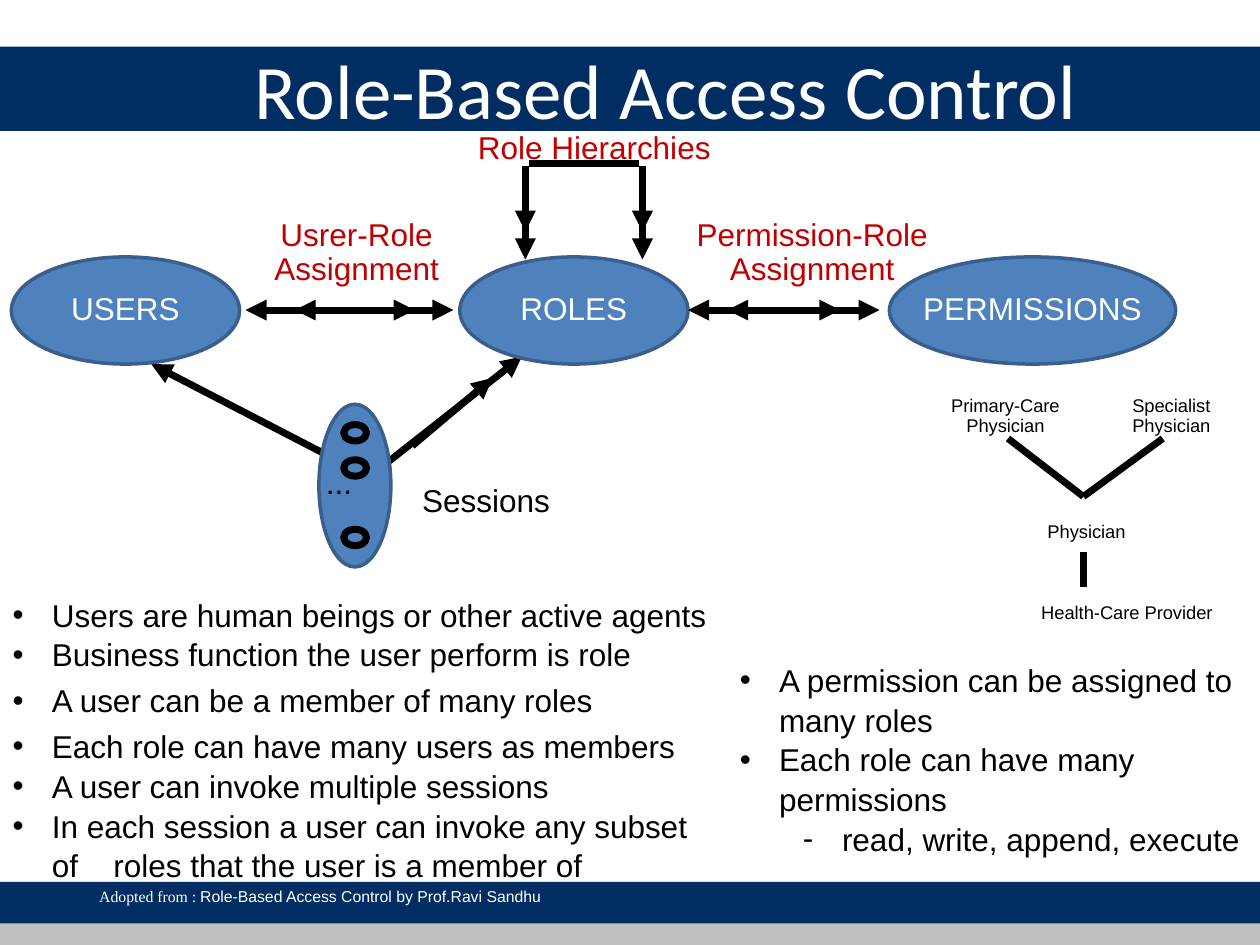
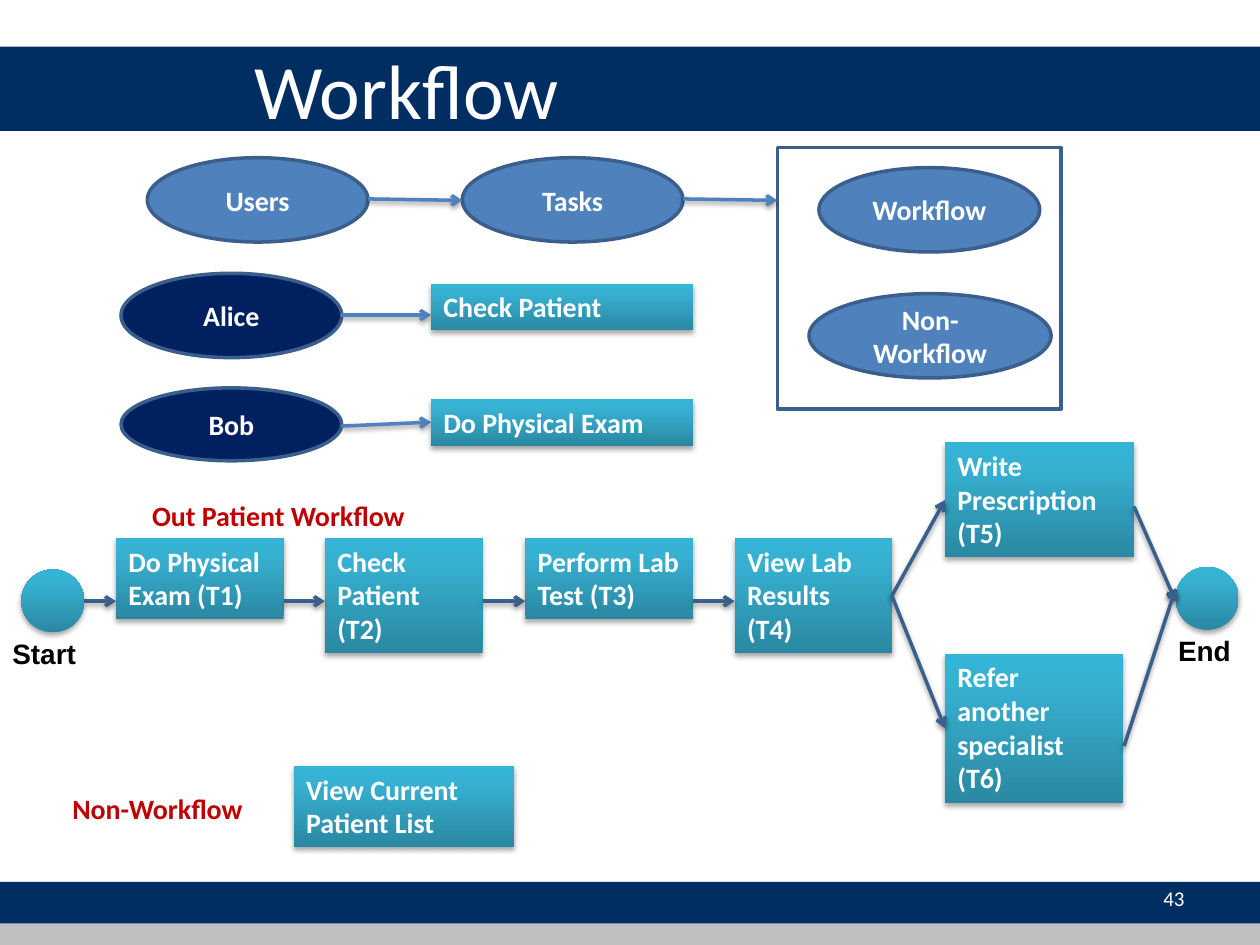
from lxml import etree
from pptx import Presentation
from pptx.dml.color import RGBColor
from pptx.enum import shapes, text
from pptx.oxml import ns
from pptx.util import Cm, Pt

HUE = {
    "navy": "002E62", "grey": "C0C0C0", "white": "FFFFFF", "black": "000000",
    "red": "C00000", "blue": "4F81BD", "edge": "3A5F8C", "dark": "002060",
    "deep": "2A88A2", "teal": "37B1D2", "light": "34B4D6",
}
OVAL = shapes.MSO_SHAPE.OVAL
RECT = shapes.MSO_SHAPE.RECTANGLE
DISC = shapes.MSO_SHAPE.FLOWCHART_CONNECTOR
MID = text.MSO_ANCHOR.MIDDLE
TOP = text.MSO_ANCHOR.TOP
LEFT = text.PP_ALIGN.LEFT
MIDST = text.PP_ALIGN.CENTER
RIGHT = text.PP_ALIGN.RIGHT


def rgb(name):
    return RGBColor.from_string(HUE[name])


def sub(node, tag, **attrs):
    child = etree.SubElement(node, ns.qn(tag))
    for key, val in attrs.items():
        child.set(key, str(val))
    return child


# Text
def style(font, size, face, hue, bold=False):
    font.size, font.name, font.bold = Pt(size), face, bold
    font.color.rgb = rgb(hue)


def write(shape, words, size, face, hue, bold=False, align=MIDST,
          anchor=MID, gap=1.0, wrap=True):
    frame = shape.text_frame
    frame.text = words
    frame.word_wrap = wrap
    frame.auto_size = text.MSO_AUTO_SIZE.NONE
    frame.vertical_anchor = anchor
    for para in frame.paragraphs:
        para.alignment, para.line_spacing = align, gap
        for run in para.runs:
            style(run.font, size, face, hue, bold)


def label(slide, words, at, size=18, face="Arial", hue="black", **opts):
    box = slide.shapes.add_textbox(*map(Cm, at))
    write(box, words, size, face, hue, **opts)


def note(slide, words, at, hue="black", size=18, align=MIDST):
    label(slide, words, at, size, hue=hue, align=align, anchor=TOP,
          gap=0.9, wrap=False)


def title(slide, words):
    head = slide.shapes.title
    head.left, head.top, head.width, head.height = map(
        Cm, (4.88, 0.2, 20.12, 3.18))
    write(head, words, 44, "Calibri", "white", align=LEFT)


def bullets(body, at, items):
    """Fill a list; each item is (words, level, space before in points)."""
    body.left, body.top, body.width, body.height = map(Cm, at)
    write(body, "\n".join(item[0] for item in items), 18, "Arial", "black",
          align=LEFT, anchor=TOP, gap=1.05)
    for para, (words, level, space) in zip(body.text_frame.paragraphs, items):
        para.level = level
        props = para._p.get_or_add_pPr()
        props.set("marL", str(Cm(0.79 + 1.27 * level)))
        props.set("indent", str(-Cm(0.79)))
        sub(props, "a:buFont", typeface="Arial")
        sub(props, "a:buChar", char="‐" if level else "•")
        if "\t" in words:
            stops = sub(props, "a:tabLst")
            sub(stops, "a:tab", pos=Cm(2.03), algn="l")
        para.space_before = Pt(space)


# Shapes and lines
def shade(effects, alpha, dist):
    cast = sub(effects, "a:outerShdw", blurRad=Pt(3.1), dist=Pt(dist),
               dir=90 * 60000, rotWithShape=0)
    tint = sub(cast, "a:srgbClr", val=HUE["black"])
    sub(tint, "a:alpha", val=alpha * 1000)


def shape(slide, kind, at, fill, edge=None, width=2):
    item = slide.shapes.add_shape(kind, *map(Cm, at))
    item.shadow.inherit = False
    item.fill.solid()
    item.fill.fore_color.rgb = rgb(fill)
    if edge:
        item.line.color.rgb = rgb(edge)
        item.line.width = Pt(width)
    else:
        item.line.fill.background()
    return item


def oval(slide, words, at, fill="blue", size=16, face="Calibri", bold=True,
         **opts):
    item = shape(slide, OVAL, at, fill, "edge")
    write(item, words, size, face, "white", bold, **opts)


def glow(slide, kind, at):
    """Add a teal shape with a gradient and a soft shadow."""
    item = shape(slide, kind, at, "teal")
    item.fill.gradient()
    item.fill.gradient_angle = 90
    stops = item.element.xpath(".//a:gsLst")[0]
    for old in list(stops):
        stops.remove(old)
    for pos, name in ((0, "deep"), (80, "teal"), (100, "light")):
        stop = sub(stops, "a:gs", pos=pos * 1000)
        sub(stop, "a:srgbClr", val=HUE[name])
    shade(item.element.xpath(".//a:effectLst")[0], 35, 1.8)
    return item


def task(slide, words, at):
    write(glow(slide, RECT, at), words, 16, "Calibri", "white", True,
          align=LEFT, anchor=TOP)


def line(slide, ends, hue="black", width=4, head=None, tail=None, soft=False):
    link = slide.shapes.add_connector(
        shapes.MSO_CONNECTOR.STRAIGHT, *map(Cm, ends))
    link.line.color.rgb = rgb(hue)
    link.line.width = Pt(width)
    stroke = link.line._get_or_add_ln()
    for tag, tip in (("a:headEnd", head), ("a:tailEnd", tail)):
        if tip:
            sub(stroke, tag, type=tip)
    effects = sub(link.element.spPr, "a:effectLst")
    if soft:
        shade(effects, 38, 1.6)


def flow(slide, hue, *paths):
    for ends in paths:
        line(slide, ends, hue, 2, tail="arrow", soft=True)


def bands(deck, slide):
    """Draw the shared bands and move them to the slide master."""
    tree = deck.slide_master.shapes.element
    rows = ((17.78, 0.84, "navy"), (0.94, 1.7, "navy"), (18.62, 0.43, "grey"))
    for num, (top, high, hue) in enumerate(rows):
        band = shape(slide, RECT, (0, top, 25.4, high), hue)
        band.element.xpath(".//p:cNvPr")[0].set("id", str(90 + num))
        tree.insert(2 + num, band.element)


# Slides
def roles(slide):
    title(slide, "Role-Based Access Control")

    # Session arrows, then the three main sets
    for ends in ((7.32, 9.55, 3.05, 7.34), (7.52, 9.55, 10.52, 7.19),
                 (8.31, 8.99, 9.93, 7.62)):
        line(slide, ends, tail="triangle")
    for words, left, wide in (("USERS", 0.23, 4.6), ("ROLES", 9.27, 4.6),
                              ("PERMISSIONS", 17.93, 5.77)):
        oval(slide, words, (left, 5.18, wide, 2.16), size=18, face="Arial",
             bold=False, gap=0.9, wrap=False)

    # Assignments
    for start, end in ((4.95, 9.14), (5.94, 8.36), (13.87, 17.73),
                       (14.66, 16.94)):
        line(slide, (start, 6.25, end, 6.25), head="triangle", tail="triangle")
    note(slide, "Usrer-Role\nAssignment", (5.26, 4.29, 3.86, 1.63), "red")
    note(slide, "Permission-Role\nAssignment", (13.77, 4.29, 5.21, 1.63),
         "red")

    # Sessions
    shape(slide, OVAL, (6.43, 8.15, 1.45, 3.28), "blue", "edge")
    for top in (8.56, 9.27, 10.67):
        shape(slide, OVAL, (6.93, top, 0.46, 0.33), "blue", "black", 4)
    note(slide, "...", (6.32, 9.3, 1.04, 0.94), align=LEFT)
    note(slide, "Sessions", (8.26, 9.65, 3.1, 0.94), align=LEFT)

    # Role hierarchy loop
    for x in (10.59, 12.95):
        for top, low in ((3.48, 5.23), (3.35, 4.67)):
            line(slide, (x, top, x, low), tail="triangle")
    line(slide, (10.67, 3.3, 12.88, 3.3))
    note(slide, "Role Hierarchies", (9.35, 2.54, 5.26, 0.94), "red")

    # Example hierarchy
    for words, at in (
            ("Health-Care Provider", (20.7, 12.04, 4.04, 0.66)),
            ("Physician", (20.85, 10.41, 2.11, 0.66)),
            ("Primary-Care\nPhysician", (18.9, 7.87, 2.74, 1.07)),
            ("Specialist\nPhysician", (22.56, 7.87, 2.11, 1.07))):
        note(slide, words, at, size=10.5)
    for ends in ((21.84, 11.13, 21.84, 11.84), (20.32, 8.84, 21.84, 10.01),
                 (23.44, 8.84, 21.84, 10.01)):
        line(slide, ends)

    # Lists
    bullets(slide.placeholders[1], (0, 11.84, 14.66, 5.97), (
        ("Users are human beings or other active agents", 0, 0),
        ("Business function the user perform is role", 0, 0),
        ("A user can be a member of many roles", 0, 3.6),
        ("Each role can have many users as members", 0, 3.6),
        ("A user can invoke multiple sessions", 0, 0),
        ("In each session a user can invoke any subset of\troles that the "
         "user is a member of", 0, 0)))
    bullets(slide.placeholders[2], (14.66, 13.16, 10.74, 4.11), (
        ("A permission can be assigned to many roles", 0, 0),
        ("Each role can have many permissions", 0, 0),
        ("read, write, append, execute", 1, 0)))

    # Source line
    foot = slide.shapes.add_textbox(*map(Cm, (1.75, 17.75, 17.58, 0.64)))
    foot.text_frame.word_wrap = True
    para = foot.text_frame.paragraphs[0]
    for words, face in (
            ("Adopted from : ", "Times New Roman"),
            ("Role-Based Access Control by Prof.Ravi Sandhu", "Arial")):
        run = para.add_run()
        run.text = words
        style(run.font, 9, face, "white")


def work(slide):
    title(slide, "Workflow")
    label(slide, "43", (18.21, 17.6, 5.92, 1.02), 12, "Calibri", "white",
          align=RIGHT)

    # Users, tasks and kinds of task
    shape(slide, RECT, (15.67, 2.97, 5.72, 5.28), "white", "edge")
    for words, at, fill in (
            ("Users", (2.97, 3.18, 4.45, 1.7), "blue"),
            ("Tasks", (9.32, 3.18, 4.45, 1.7), "blue"),
            ("Workflow", (16.51, 3.38, 4.45, 1.7), "blue"),
            ("Non-Workflow", (16.31, 5.92, 4.88, 1.7), "blue"),
            ("Alice", (2.44, 5.51, 4.45, 1.7), "dark"),
            ("Bob", (2.44, 7.82, 4.45, 1.47), "dark")):
        oval(slide, words, at, fill)
    flow(slide, "blue", (7.42, 4.01, 9.32, 4.04), (13.77, 4.01, 15.67, 4.04),
         (6.88, 6.35, 8.69, 6.35), (6.88, 8.59, 8.69, 8.51))

    # Tasks
    for words, at in (
            ("Check Patient", (8.69, 5.72, 5.28, 0.94)),
            ("Do Physical Exam", (8.69, 8.05, 5.28, 0.94)),
            ("Do Physical Exam (T1)", (2.34, 10.85, 3.38, 1.63)),
            ("Check Patient (T2)", (6.55, 10.85, 3.18, 2.31)),
            ("Perform Lab Test (T3)", (10.59, 10.85, 3.38, 1.63)),
            ("View Lab Results (T4)", (14.81, 10.85, 3.18, 2.31)),
            ("Write Prescription (T5)", (19.05, 8.92, 3.81, 2.31)),
            ("Refer another specialist (T6)", (19.05, 13.18, 3.6, 3)),
            ("View Current Patient List", (5.92, 15.44, 4.45, 1.63))):
        task(slide, words, at)

    # Start and end
    for words, x, y, left in (("Start", 0.43, 11.48, 0),
                              ("End", 23.7, 11.43, 23.5)):
        glow(slide, DISC, (x, y, 1.27, 1.27))
        label(slide, words, (left, y + 1.22, 1.9, 0.94), 16, bold=True,
              align=LEFT, anchor=TOP)

    # Flow through the tasks
    for start, end in ((1.7, 2.34), (5.72, 6.55), (9.73, 10.59),
                       (13.97, 14.81)):
        flow(slide, "edge", (start, 12.12, end, 12.12))
    flow(slide, "edge", (17.98, 12.01, 19.05, 10.08),
         (17.98, 12.01, 19.05, 14.68), (22.86, 10.21, 23.7, 12.12),
         (22.66, 15.04, 23.7, 11.86))

    # Captions
    for words, at in (("Out Patient Workflow", (1.07, 9.53, 9.09, 1.7)),
                      ("Non-Workflow", (0.05, 15.44, 6.25, 1.7))):
        label(slide, words, at, 16, "Calibri", "red", bold=True)


def main():
    deck = Presentation()
    deck.slide_width, deck.slide_height = Cm(25.4), Cm(19.05)
    first = deck.slides.add_slide(deck.slide_layouts[3])
    bands(deck, first)
    roles(first)
    work(deck.slides.add_slide(deck.slide_layouts[5]))
    deck.save("out.pptx")


if __name__ == "__main__":
    main()
